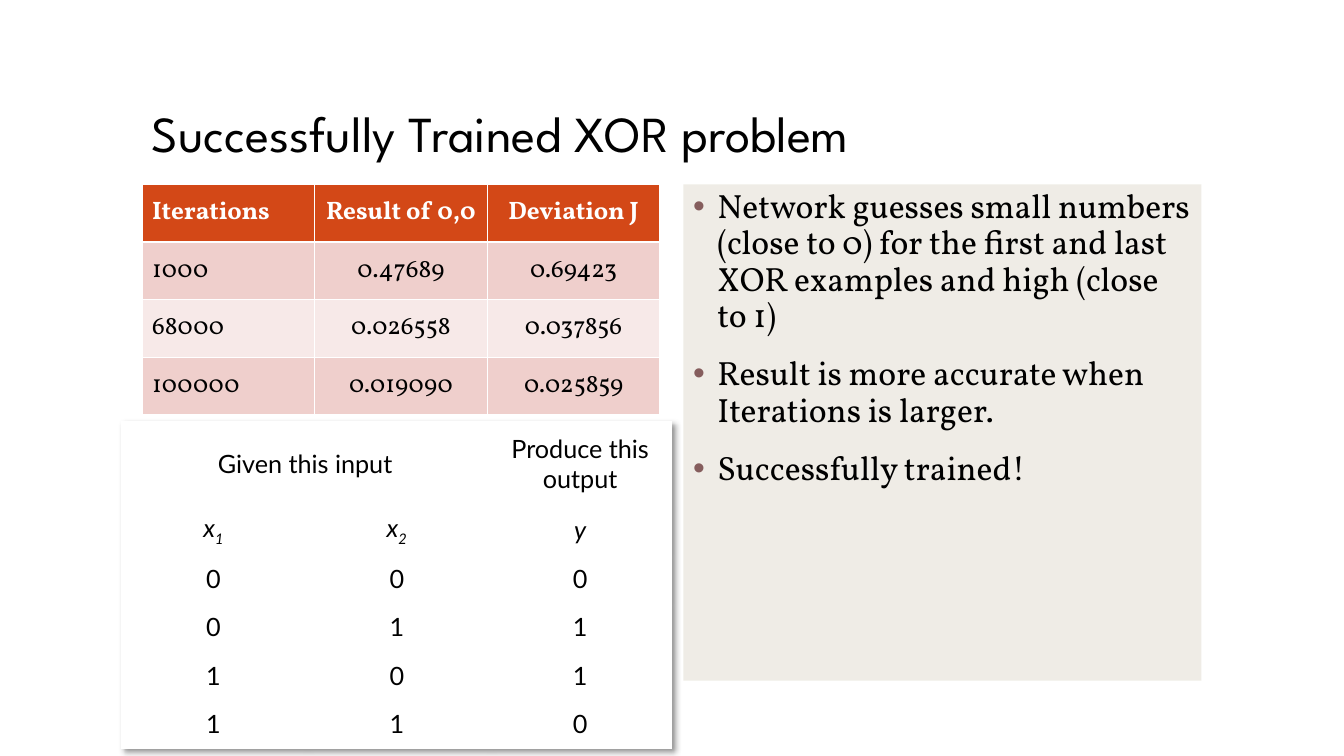
from lxml import etree
from pptx import Presentation
from pptx.dml.color import RGBColor
from pptx.enum.shapes import MSO_SHAPE
from pptx.enum.text import MSO_ANCHOR, PP_ALIGN
from pptx.oxml import parse_xml
from pptx.oxml.ns import nsdecls, qn
from pptx.util import Cm, Pt

BLACK = RGBColor(0x00, 0x00, 0x00)
WHITE = RGBColor(0xFF, 0xFF, 0xFF)
ORANGE = RGBColor(0xD3, 0x48, 0x17)
ROSE = RGBColor(0xEF, 0xCF, 0xCC)
PALE_ROSE = RGBColor(0xF7, 0xE9, 0xE8)
SAND = RGBColor(0xE9, 0xE5, 0xDC)
MAUVE = RGBColor(0x85, 0x5D, 0x5D)


def add_text(paragraph, text, font, size, color=BLACK, bold=False, italic=False):
    run = paragraph.add_run()
    run.text = text
    run.font.name = font
    run.font.size = Pt(size)
    run.font.color.rgb = color
    run.font.bold = bold
    run.font.italic = italic
    return run


def style_cell(cell, fill, align):
    cell.fill.solid()
    cell.fill.fore_color.rgb = fill
    cell.vertical_anchor = MSO_ANCHOR.MIDDLE
    paragraph = cell.text_frame.paragraphs[0]
    paragraph.alignment = align
    return paragraph


prs = Presentation()
prs.slide_width = Cm(33.87)
prs.slide_height = Cm(19.05)
slide = prs.slides.add_slide(prs.slide_layouts[6])

findings = slide.shapes.add_shape(MSO_SHAPE.RECTANGLE, Cm(17.22), Cm(4.65), Cm(13.06), Cm(12.5))
findings.shadow.inherit = False
findings.line.fill.background()
findings.fill.solid()
findings.fill.fore_color.rgb = SAND
sand_color = findings._element.spPr.find(qn("a:solidFill"))[0]
etree.SubElement(sand_color, qn("a:alpha"), val="70000")
findings.text_frame.word_wrap = True
findings.text_frame.vertical_anchor = MSO_ANCHOR.TOP

points = [
    "Network guesses small numbers (close to 0) for the first and last XOR examples and high (close to 1)",
    "Result is more accurate when Iterations is larger.",
    "Successfully trained!",
]
for i, point in enumerate(points):
    paragraph = findings.text_frame.add_paragraph() if i else findings.text_frame.paragraphs[0]
    paragraph.alignment = PP_ALIGN.LEFT
    paragraph.line_spacing = 0.9
    paragraph.space_before = Pt(16)
    pPr = paragraph._p.get_or_add_pPr()
    pPr.set("marL", str(Cm(0.61)))
    pPr.set("indent", str(Cm(-0.63)))
    bullet_color = etree.SubElement(pPr, qn("a:buClr"))
    etree.SubElement(bullet_color, qn("a:srgbClr"), val=str(MAUVE))
    etree.SubElement(pPr, qn("a:buFont"), typeface="Arial")
    etree.SubElement(pPr, qn("a:buChar"), char="•")
    add_text(paragraph, point, "Vollkorn", 24)

results = [
    ("Iterations", "Result of 0,0", "Deviation J"),
    ("1000", "0.47689", "0.69423"),
    ("68000", "0.026558", "0.037856"),
    ("100000", "0.019090", "0.025859"),
]
training = slide.shapes.add_table(4, 3, Cm(3.58), Cm(4.65), Cm(13.05), Cm(5.8)).table
for r, values in enumerate(results):
    is_header = r == 0
    fill = ORANGE if is_header else (ROSE if r % 2 else PALE_ROSE)
    for c, value in enumerate(values):
        align = PP_ALIGN.CENTER if c else PP_ALIGN.LEFT
        paragraph = style_cell(training.cell(r, c), fill, align)
        add_text(paragraph, value, "Vollkorn", 18, WHITE if is_header else BLACK, bold=is_header)

title = slide.shapes.add_textbox(Cm(3.58), Cm(1.07), Cm(26.67), Cm(3.18)).text_frame
title.word_wrap = True
title.vertical_anchor = MSO_ANCHOR.BOTTOM
title.paragraphs[0].line_spacing = 0.9
add_text(title.paragraphs[0], "Successfully Trained XOR problem", "League Spartan", 36)

xor_rows = [
    ("Given this input", "", "Produce this output"),
    ("x1", "x2", "y"),
    ("0", "0", "0"),
    ("0", "1", "1"),
    ("1", "0", "1"),
    ("1", "1", "0"),
]
xor = slide.shapes.add_table(6, 3, Cm(3.07), Cm(10.62), Cm(13.86), Cm(8.23)).table
xor.cell(0, 0).merge(xor.cell(0, 1))
for r, values in enumerate(xor_rows):
    xor.rows[r].height = Cm(1.22) if r else Cm(2.13)
    for c, value in enumerate(values):
        paragraph = style_cell(xor.cell(r, c), WHITE, PP_ALIGN.CENTER)
        if r == 1:
            add_text(paragraph, value[0], "Lato", 18, italic=True)
            if value[1:]:
                index = add_text(paragraph, value[1:], "Lato", 18, italic=True)
                index._r.get_or_add_rPr().set("baseline", "-25000")
        elif value:
            add_text(paragraph, value, "Lato", 18)

xor._tbl.tblPr.insert(0, parse_xml(
    f'<a:effectLst {nsdecls("a")}>'
    '<a:outerShdw blurRad="50800" dist="38100" dir="2700000" algn="tl" rotWithShape="0">'
    '<a:srgbClr val="000000"><a:alpha val="40000"/></a:srgbClr>'
    '</a:outerShdw></a:effectLst>'
))

prs.save("out.pptx")
